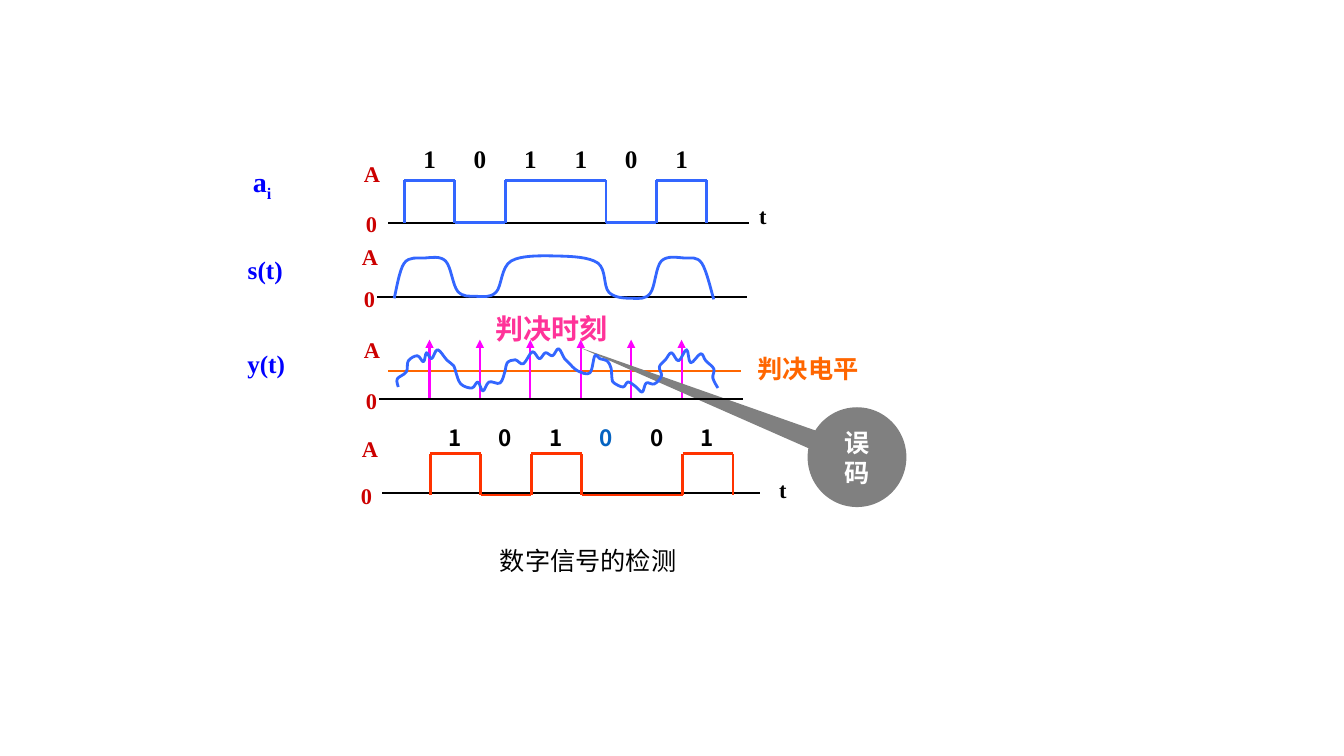
from dataclasses import dataclass
from itertools import pairwise

from lxml.etree import SubElement
from pptx import Presentation
from pptx.dml.color import RGBColor as Rgb
from pptx.enum.shapes import MSO_CONNECTOR as Connector, MSO_SHAPE as Preset
from pptx.enum.text import MSO_AUTO_SIZE as AutoSize, PP_ALIGN as Align
from pptx.oxml.ns import qn
from pptx.util import Inches, Pt

Point = tuple[float, float]


@dataclass(frozen=True)
class Theme:
    latin: str = "Times New Roman"
    cjk: str = "Noto Sans CJK SC"
    ink: Rgb = Rgb(0, 0, 0)
    white: Rgb = Rgb(255, 255, 255)
    name: Rgb = Rgb(0x00, 0x00, 0xFF)
    level: Rgb = Rgb(0xCC, 0x00, 0x00)
    signal: Rgb = Rgb(0x33, 0x66, 0xFF)
    decided: Rgb = Rgb(0xFF, 0x33, 0x00)
    error_bit: Rgb = Rgb(0x05, 0x63, 0xC1)
    threshold: Rgb = Rgb(0xFF, 0x66, 0x00)
    instant: Rgb = Rgb(0xFF, 0x00, 0xFF)
    instant_label: Rgb = Rgb(0xFF, 0x33, 0x99)
    callout: Rgb = Rgb(0x80, 0x80, 0x80)
    small: int = 16
    body: int = 18
    large: int = 20
    axis_width: float = 1.25
    marker_width: float = 1.5
    signal_width: float = 2


THEME = Theme()
BIT = 0.5  # duration of one bit on the time axis, inches


@dataclass(frozen=True)
class Label:
    words: str
    left: float
    top: float
    width: float
    height: float
    size: int
    color: Rgb
    font: str = THEME.latin
    align: Align = Align.CENTER
    bold: bool = True
    wrap: bool = True
    spacing: float | None = None
    subscript: str = ""
    tabs: int = 0


@dataclass(frozen=True)
class Axis:
    start: float
    end: float
    y: float
    high: Point  # corner of the "A" label
    zero: Point  # corner of the "0" label


@dataclass(frozen=True)
class PulseTrain:
    bits: str
    start: float
    low: float
    high: float
    color: Rgb


AXES = [
    Axis(3.85, 7.43, 2.21, (3.51, 1.54), (3.51, 2.04)),
    Axis(3.74, 7.41, 2.95, (3.49, 2.36), (3.49, 2.78)),
    Axis(3.76, 7.37, 3.96, (3.51, 3.29), (3.51, 3.79)),
    Axis(3.79, 7.54, 4.89, (3.49, 4.27), (3.46, 4.73)),
]
SENT = PulseTrain("101101", 4.01, 2.21, 1.79, THEME.signal)
DETECTED = PulseTrain("101001", 4.27, 4.91, 4.5, THEME.decided)
ERROR_INDEX = 3

LABELS = [
    Label("\t".join(SENT.bits), 4.1, 1.37, 3.2, 0.4, THEME.body, THEME.ink,
          align=Align.LEFT, tabs=len(SENT.bits) - 1),
    Label("a", 1.6, 1.62, 2, 0.37, THEME.large, THEME.name, spacing=0.8, subscript="i"),
    Label("s(t)", 1.67, 2.53, 1.92, 0.34, THEME.body, THEME.name, spacing=0.8),
    Label("y(t)", 1.6, 3.46, 2.08, 0.34, THEME.body, THEME.name, spacing=0.8),
    Label("t", 7.43, 1.96, 0.33, 0.37, THEME.small, THEME.ink, align=Align.LEFT),
    Label("t", 7.63, 4.67, 0.33, 0.37, THEME.small, THEME.ink, align=Align.LEFT),
    Label("判决电平", 7.18, 3.46, 1.67, 0.4, THEME.body, THEME.threshold, THEME.cjk),
    Label("判决时刻", 4.76, 3.04, 1.42, 0.43, THEME.large, THEME.instant_label, THEME.cjk),
    Label("数字信号的检测", 4.86, 5.36, 2.99, 0.4, THEME.body, THEME.ink, THEME.cjk,
          align=Align.LEFT, bold=False),
]

FILTERED: list[Point] = [
    (3.91, 2.96), (4.01, 2.61), (4.21, 2.56), (4.42, 2.59), (4.54, 2.89), (4.72, 2.94),
    (4.92, 2.9), (5.07, 2.59), (5.53, 2.54), (5.93, 2.61), (6.04, 2.9), (6.27, 2.96),
    (6.45, 2.91), (6.56, 2.59), (6.79, 2.56), (6.96, 2.61), (7.08, 2.97),
]
NOISY: list[Point] = [
    (3.95, 3.84), (3.94, 3.76), (4.03, 3.69), (4.05, 3.58), (4.14, 3.53), (4.2, 3.59),
    (4.23, 3.5), (4.28, 3.56), (4.34, 3.47), (4.43, 3.57), (4.5, 3.63), (4.52, 3.69),
    (4.57, 3.81), (4.68, 3.85), (4.74, 3.79), (4.79, 3.88), (4.85, 3.79), (4.96, 3.8),
    (5.01, 3.68), (5.03, 3.6), (5.11, 3.57), (5.19, 3.61), (5.28, 3.49), (5.35, 3.56),
    (5.41, 3.5), (5.48, 3.53), (5.54, 3.46), (5.6, 3.56), (5.64, 3.6), (5.73, 3.68),
    (5.85, 3.7), (5.9, 3.53), (5.95, 3.56), (6.02, 3.58), (6.06, 3.65), (6.07, 3.76),
    (6.09, 3.8), (6.18, 3.84), (6.23, 3.79), (6.31, 3.84), (6.37, 3.89), (6.41, 3.8),
    (6.49, 3.81), (6.56, 3.73), (6.54, 3.64), (6.6, 3.57), (6.66, 3.5), (6.73, 3.58),
    (6.81, 3.47), (6.85, 3.6), (6.95, 3.51), (7, 3.58), (7.08, 3.66), (7.07, 3.75),
    (7.12, 3.85),
]


def style_paragraph(paragraph, size: int, color: Rgb, name: str, bold: bool) -> None:
    font = paragraph.font
    font.size, font.bold, font.name = Pt(size), bold, name
    font.color.rgb = color
    SubElement(font._rPr, qn("a:ea"), typeface=name)


def add_label(slide, label: Label) -> None:
    box = slide.shapes.add_textbox(*map(Inches, (label.left, label.top, label.width, label.height)))
    frame = box.text_frame
    frame.word_wrap = label.wrap
    frame.auto_size = AutoSize.SHAPE_TO_FIT_TEXT
    paragraph = frame.paragraphs[0]
    paragraph.alignment = label.align
    if label.spacing:
        paragraph.line_spacing = label.spacing
    if label.tabs:
        stops = SubElement(paragraph._p.get_or_add_pPr(), qn("a:tabLst"))
        for step in range(1, label.tabs + 1):
            SubElement(stops, qn("a:tab"), pos=str(Inches(step * BIT)), algn="l")
    paragraph.add_run().text = label.words
    if label.subscript:
        run = paragraph.add_run()
        run.text = label.subscript
        run.font._rPr.set("baseline", "-25000")
    style_paragraph(paragraph, label.size, label.color, label.font, label.bold)


def add_line(slide, start: Point, end: Point, color: Rgb, width: float, arrow: bool = False) -> None:
    line = slide.shapes.add_connector(Connector.STRAIGHT, *map(Inches, (*start, *end)))
    line.line.color.rgb = color
    line.line.width = Pt(width)
    if arrow:
        SubElement(line.line._get_or_add_ln(), qn("a:tailEnd"), type="triangle")
    SubElement(line._element.spPr, qn("a:effectLst"))


def add_axis(slide, axis: Axis) -> None:
    add_line(slide, (axis.start, axis.y), (axis.end, axis.y), THEME.ink, THEME.axis_width)
    for words, corner in (("A", axis.high), ("0", axis.zero)):
        add_label(slide, Label(words, *corner, 0.35, 0.37, THEME.small, THEME.level))


def add_pulses(slide, train: PulseTrain) -> None:
    """Draw a level for each bit and an edge wherever the level changes."""
    corners: list[Point] = [(train.start, train.low)]
    for index, bit in enumerate(train.bits):
        y = train.high if bit == "1" else train.low
        left = train.start + index * BIT
        corners += [(left, y), (left + BIT, y)]
    corners.append((corners[-1][0], train.low))
    for start, end in pairwise(corners):
        if start != end:
            add_line(slide, start, end, train.color, THEME.signal_width)


def add_curve(slide, knots: list[Point]) -> None:
    """Draw a smooth Catmull-Rom curve through the knots."""
    first, *rest = [(Inches(x), Inches(y)) for x, y in knots]
    builder = slide.shapes.build_freeform(*first)
    builder.add_line_segments(rest, close=False)
    curve = builder.convert_to_shape()
    curve.shadow.inherit = False
    curve.fill.background()
    curve.line.color.rgb = THEME.signal
    curve.line.width = Pt(THEME.signal_width)
    local = [(int(pt.get("x")), int(pt.get("y"))) for pt in curve._element.iter(qn("a:pt"))]
    padded = [local[0], *local, local[-1]]
    for index, segment in enumerate(list(curve._element.iter(qn("a:lnTo")))):
        before, start, end, after = padded[index:index + 4]
        leave = [s + (e - b) / 6 for b, s, e in zip(before, start, end)]
        arrive = [e - (a - s) / 6 for s, e, a in zip(start, end, after)]
        bezier = SubElement(segment.getparent(), qn("a:cubicBezTo"))
        for x, y in (leave, arrive, end):
            SubElement(bezier, qn("a:pt"), x=str(round(x)), y=str(round(y)))
        segment.getparent().replace(segment, bezier)


def add_error_callout(slide) -> None:
    callout = slide.shapes.add_shape(Preset.OVAL_CALLOUT, *map(Inches, (8.01, 4.04, 0.98, 0.99)))
    callout.adjustments[0], callout.adjustments[1] = -2.81, -1.1
    callout.shadow.inherit = False
    callout.fill.solid()
    callout.fill.fore_color.rgb = THEME.callout
    callout.line.fill.background()
    paragraph = callout.text_frame.paragraphs[0]
    paragraph.text = "误码"
    paragraph.alignment = Align.CENTER
    style_paragraph(paragraph, THEME.body, THEME.white, THEME.cjk, True)


def main() -> None:
    deck = Presentation()
    deck.slide_width, deck.slide_height = Inches(13.33), Inches(7.5)
    slide = deck.slides.add_slide(deck.slide_layouts[6])
    add_line(slide, (3.85, 3.68), (7.35, 3.68), THEME.threshold, THEME.marker_width)
    for index in range(len(SENT.bits)):
        x = 4.26 + index * BIT
        add_line(slide, (x, 3.96), (x, 3.37), THEME.instant, THEME.marker_width, arrow=True)
    add_error_callout(slide)
    for axis in AXES:
        add_axis(slide, axis)
    for train in (SENT, DETECTED):
        add_pulses(slide, train)
    for knots in (FILTERED, NOISY):
        add_curve(slide, knots)
    for index, bit in enumerate(DETECTED.bits):
        color = THEME.error_bit if index == ERROR_INDEX else THEME.ink
        add_label(slide, Label(bit, 4.35 + index * BIT, 4.16, 0.31, 0.37, THEME.small, color,
                               THEME.cjk, Align.LEFT, wrap=False))
    for label in LABELS:
        add_label(slide, label)
    deck.save("out.pptx")


if __name__ == "__main__":
    main()
